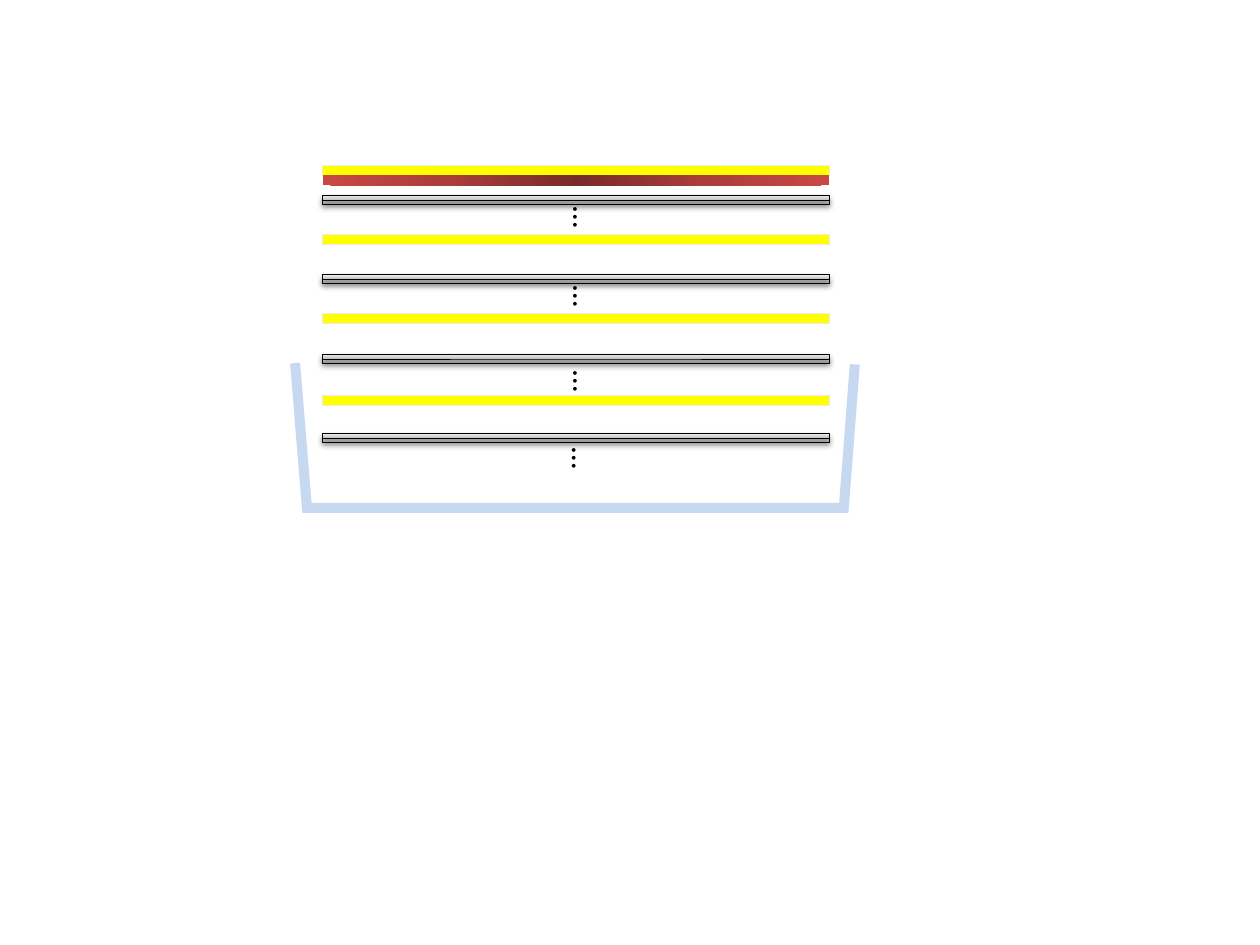
from lxml import etree
from pptx import Presentation
from pptx.dml.color import RGBColor
from pptx.enum.shapes import MSO_SHAPE
from pptx.enum.text import MSO_AUTO_SIZE
from pptx.oxml import parse_xml
from pptx.oxml.ns import qn
from pptx.util import Inches, Pt

RECT = MSO_SHAPE.RECTANGLE
FIT = MSO_AUTO_SIZE.SHAPE_TO_FIT_TEXT
YELLOW = RGBColor(0xFF, 0xFF, 0x00)
CREAM = RGBColor(0xEE, 0xEC, 0xE1)
BLUE = RGBColor(0xC6, 0xD9, 0xF1)
BLACK = RGBColor(0, 0, 0)
NS = "http://schemas.openxmlformats.org/drawingml/2006/main"

# Content: stack of layers, all in inches
LEFT, WIDE = 2.56, 4.02
THICK, THIN, STEP = 0.08, 0.04, 0.03
YELLOWS = [1.31, 1.86, 2.49, 3.14]
RED_TOP = 1.39
PLATES = [1.55, 2.18, 2.81, 3.44]  # each plate is two thin strips
DOTS = [(4.46, 1.53), (4.46, 2.16), (4.46, 2.83), (4.45, 3.44)]
TRAY = [  # left, top, width, rotation
    (2.4, 3.99, 4.33, 0),
    (6.15, 3.44, 1.18, 274.4),
    (1.8, 3.43, 1.18, 85.3),
]
REDS = [(0, "772B29"), (50, "A93D3A"), (100, "C94844")]
GREYS = [(0, "BDBDBD"), (35, "D1D1D1"), (100, "EEEEEE")]
RADIAL = ('<a:path path="circle"><a:fillToRect l="50000" t="50000" '
          'r="50000" b="50000"/></a:path>')
UPWARD = '<a:lin ang="16200000" scaled="0"/>'

deck = Presentation()
deck.slide_width, deck.slide_height = Inches(10), Inches(7.5)
slide = deck.slides.add_slide(deck.slide_layouts[6])
shapes = slide.shapes


def add_bar(left, top, wide, high, color=None, edge=None, weight=0):
    bar = shapes.add_shape(RECT, Inches(left), Inches(top),
                           Inches(wide), Inches(high))
    bar.shadow.inherit = False
    if color is None:
        bar.fill.background()
    else:
        bar.fill.solid()
        bar.fill.fore_color.rgb = color
    if edge is None:
        bar.line.fill.background()
    else:
        bar.line.color.rgb = edge
        bar.line.width = Pt(weight)
    return bar


def set_blend(bar, stops, course):
    marks = "".join(f'<a:gs pos="{pos * 1000}"><a:srgbClr val="{color}"/></a:gs>'
                    for pos, color in stops)
    blend = parse_xml(f'<a:gradFill xmlns:a="{NS}" rotWithShape="1">'
                      f'<a:gsLst>{marks}</a:gsLst>{course}</a:gradFill>')
    props = bar.fill._xPr
    props.replace(props.find(qn("a:noFill")), blend)


def add_shade(bar):
    effects = bar.fill._xPr.find(qn("a:effectLst"))
    shade = etree.SubElement(effects, qn("a:outerShdw"),
                             blurRad=str(Pt(3.1)), dist=str(Pt(1.6)),
                             dir="5400000", rotWithShape="0")
    tint = etree.SubElement(shade, qn("a:srgbClr"), val="000000")
    etree.SubElement(tint, qn("a:alpha"), val="38000")


# Yellow layers and the red layer under the first
for top in YELLOWS:
    add_bar(LEFT, top, WIDE, THICK, YELLOW, CREAM, 0.5)
set_blend(add_bar(LEFT, RED_TOP, WIDE, THICK), REDS, RADIAL)

# Tray
for left, top, wide, turn in TRAY:
    add_bar(left, top, wide, THICK, BLUE).rotation = turn

# Upright dots
for left, top in DOTS:
    box = shapes.add_textbox(Inches(left), Inches(top), Inches(0.38), Inches(0.4))
    box.rotation = 90
    frame = box.text_frame
    frame.word_wrap = False
    frame.auto_size = FIT
    frame.text = "…"
    font = frame.paragraphs[0].runs[0].font
    font.name, font.size = "Calibri", Pt(18)
    font.color.rgb = BLACK

# Grey plates, lower strip first
for top in PLATES:
    for drop in (STEP, 0):
        strip = add_bar(LEFT, top + drop, WIDE, THIN, edge=BLACK, weight=0.25)
        set_blend(strip, GREYS, UPWARD)
        add_shade(strip)

deck.save("out.pptx")
